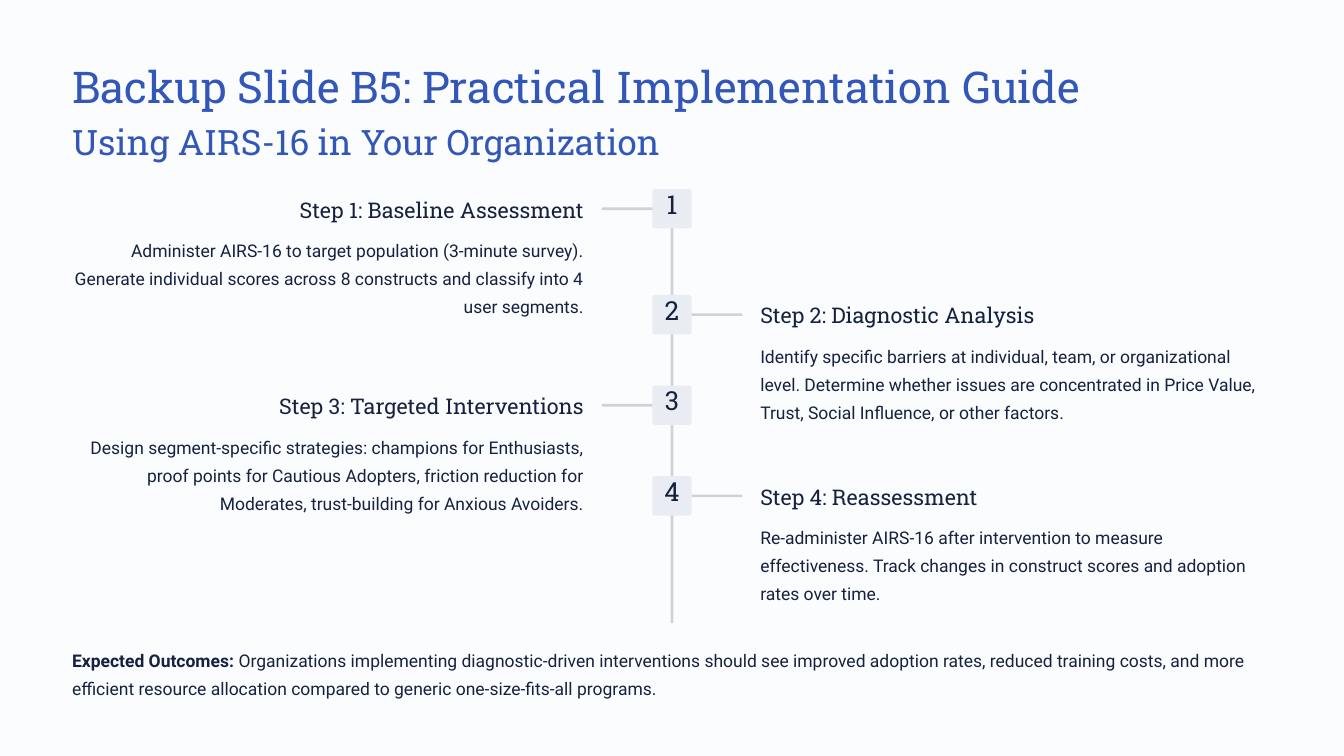
import pptx
import pptx.util
from pptx.dml.color import RGBColor
from pptx.enum.shapes import MSO_SHAPE
from pptx.enum.text import MSO_ANCHOR, MSO_AUTO_SIZE, PP_ALIGN
from pptx.util import Cm

PAPER = RGBColor(0xFB, 0xFC, 0xFE)
BLUE = RGBColor(0x32, 0x57, 0xB8)
INK = RGBColor(0x15, 0x21, 0x3F)
LINE = RGBColor(0xCF, 0xD2, 0xD8)
BADGE = RGBColor(0xE9, 0xEC, 0xF2)
SLAB = "Roboto Slab"
SANS = "Roboto"

# Layout, in centimetres
PAGE_WIDTH, PAGE_HEIGHT = 40.64, 22.86
MARGIN = 2.18
CENTER = PAGE_WIDTH / 2
COLUMN_WIDTH = 15.47
RIGHT_COLUMN = 22.99
BADGE_SIZE = 1.19
STROKE = 0.08
STUB_WIDTH = 1.6
STUB_GAP = 0.53

# Badge top, heading, description
STEPS = [
    (5.72, "Step 1: Baseline Assessment",
     "Administer AIRS-16 to target population (3-minute survey). Generate individual "
     "scores across 8 constructs and classify into 4 user segments."),
    (8.92, "Step 2: Diagnostic Analysis",
     "Identify specific barriers at individual, team, or organizational level. Determine "
     "whether issues are concentrated in Price Value, Trust, Social Influence, or other factors."),
    (11.66, "Step 3: Targeted Interventions",
     "Design segment-specific strategies: champions for Enthusiasts, proof points for Cautious "
     "Adopters, friction reduction for Moderates, trust-building for Anxious Avoiders."),
    (14.4, "Step 4: Reassessment",
     "Re-administer AIRS-16 after intervention to measure effectiveness. Track changes in "
     "construct scores and adoption rates over time."),
]


class Guide:
    """Holds the deck, the current page and the shared style."""

    def __init__(self):
        self.deck = pptx.Presentation()
        self.deck.slide_width = Cm(PAGE_WIDTH)
        self.deck.slide_height = Cm(PAGE_HEIGHT)
        self.page = self.deck.slides.add_slide(self.deck.slide_layouts[5])
        self.page.background.fill.solid()
        self.page.background.fill.fore_color.rgb = PAPER

    def set_text(self, box, spans, font, size, leading, color=INK, align=PP_ALIGN.LEFT, inset=0):
        """Fill a box with one paragraph of (text, bold) spans."""
        frame = box.text_frame
        frame.auto_size = MSO_AUTO_SIZE.NONE
        frame.word_wrap = True
        frame.vertical_anchor = MSO_ANCHOR.TOP
        frame.margin_left = frame.margin_right = frame.margin_bottom = 0
        frame.margin_top = Cm(inset)
        para = frame.paragraphs[0]
        para.alignment = align
        para.line_spacing = pptx.util.Pt(leading)
        para.font.name = font
        para.font.size = pptx.util.Pt(size)
        para.font.color.rgb = color
        for text, bold in spans:
            span = para.add_run()
            span.text = text
            if bold:
                span.font.bold = True

    def title(self, text, left, top, width, height):
        box = self.page.shapes.title
        box.left, box.top, box.width, box.height = map(Cm, (left, top, width, height))
        self.set_text(box, [(text, False)], SLAB, 37.5, 47, BLUE)

    def text(self, spans, left, top, width, height, *style, **options):
        box = self.page.shapes.add_textbox(*map(Cm, (left, top, width, height)))
        self.set_text(box, spans, *style, **options)

    def block(self, left, top, width, height, color, rounding):
        shape = self.page.shapes.add_shape(
            MSO_SHAPE.ROUNDED_RECTANGLE, *map(Cm, (left, top, width, height)))
        shape.adjustments[0] = rounding
        shape.shadow.inherit = False
        shape.fill.solid()
        shape.fill.fore_color.rgb = color
        shape.line.fill.background()
        return shape

    def step(self, number, top, heading, description):
        on_left = number % 2 == 1
        if on_left:
            column, align = MARGIN, PP_ALIGN.RIGHT
            stub = CENTER - STUB_GAP - STUB_WIDTH
        else:
            column, align = RIGHT_COLUMN, PP_ALIGN.LEFT
            stub = CENTER + STUB_GAP
        self.block(stub, top + (BADGE_SIZE - STROKE) / 2, STUB_WIDTH, STROKE, LINE, 0.5)
        badge = self.block(CENTER - BADGE_SIZE / 2, top, BADGE_SIZE, BADGE_SIZE, BADGE, 0.07)
        self.set_text(badge, [(str(number), False)], SLAB, 22.5, 22.5,
                      align=PP_ALIGN.CENTER, inset=0.1)
        self.text([(heading, False)], column, top + 0.18, COLUMN_WIDTH, 0.84,
                  SLAB, 18.5, 23.5, align=align)
        self.text([(description, False)], column, top + 1.33, COLUMN_WIDTH, 2.54,
                  SANS, 15, 24, align=align)


def main():
    guide = Guide()

    # Headings
    guide.title("Backup Slide B5: Practical Implementation Guide", MARGIN, 1.73, 36.27, 1.65)
    guide.text([("Using AIRS-16 in Your Organization", False)], MARGIN, 3.58, 36.27, 1.32,
               SLAB, 30, 37.5, BLUE)

    # Timeline
    guide.block(CENTER - STROKE / 2, STEPS[0][0], STROKE, 13.13, LINE, 0.5)
    for number, step in enumerate(STEPS, 1):
        guide.step(number, *step)

    # Outcomes
    guide.text([("Expected Outcomes:", True),
                (" Organizations implementing diagnostic-driven interventions should see improved "
                 "adoption rates, reduced training costs, and more efficient resource allocation "
                 "compared to generic one-size-fits-all programs.", False)],
               MARGIN, 19.43, 36.27, 1.7, SANS, 15, 24)

    guide.deck.save("out.pptx")


if __name__ == "__main__":
    main()
